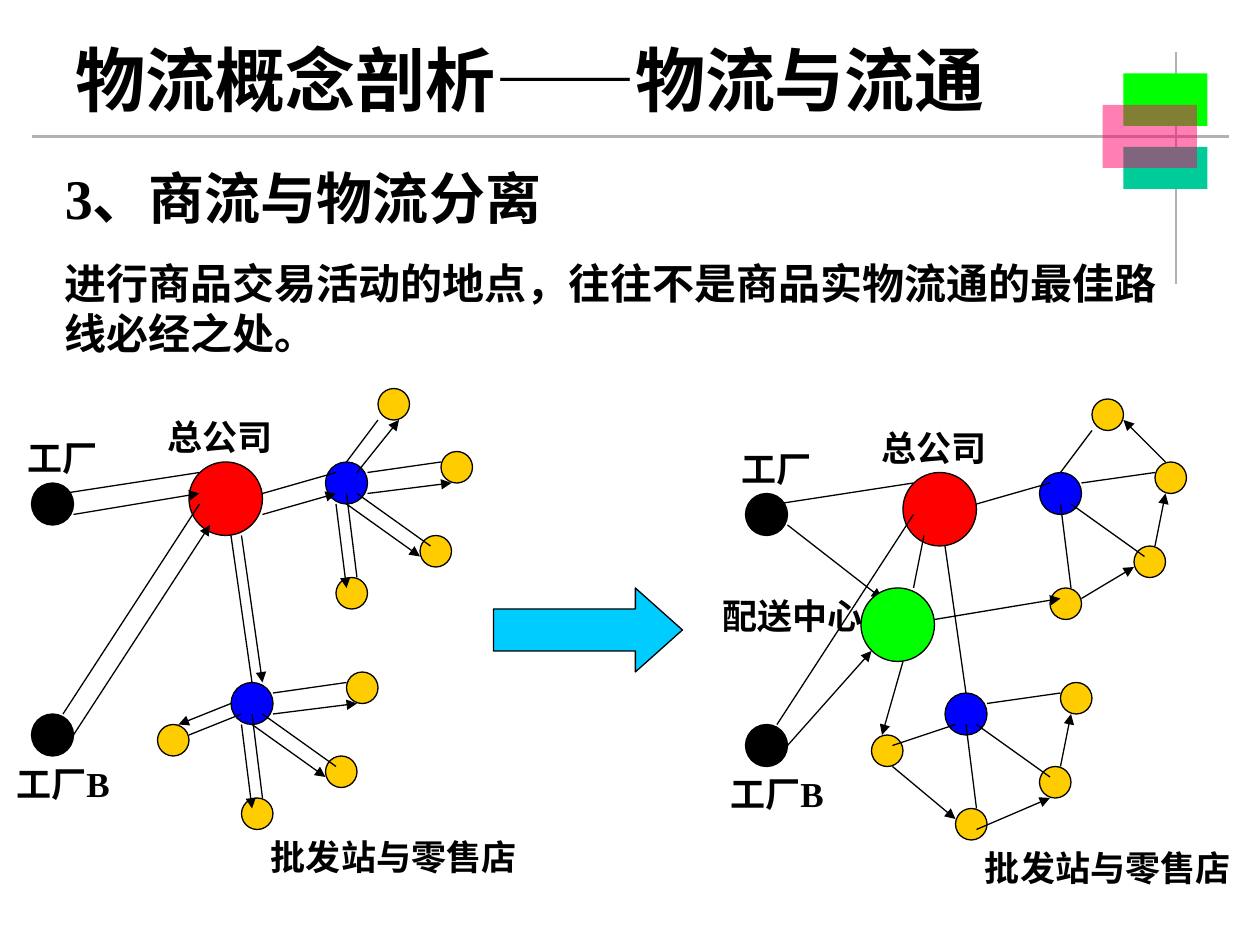
from lxml import etree
from pptx import Presentation
from pptx import util as u
from pptx.dml.color import RGBColor
from pptx.enum import shapes, text
from pptx.oxml.ns import qn

UNIT = 6  # points per grid step; every position below is in grid steps
FONT = "Times New Roman"
C = {"black": "000000", "grey": "B2B2B2", "green": "00FF00", "teal": "00CC99",
     "pink": "FF0066", "red": "FF0000", "blue": "0000FF", "gold": "FFCC00",
     "cyan": "00CCFF"}

TITLE = "物流概念剖析——物流与流通"
BODY = [("3、商流与物流分离", 32, 0),
        ("进行商品交易活动的地点，往往不是商品实物流通的最佳路线必经之处。", 24, 15)]

RULES = [((3, 13), (117, 13), 2.25), ((112, 5), (112, 27), 0.75)]
BLOCKS = [(107, 7, 8, 5, "green"), (107, 14, 8, 4, "teal"), (105, 10, 9, 6, "pink")]

# colour, diameter, top-left corners
NODES = [
    ("red", 7, [(18, 44)]),
    ("black", 4, [(3, 46), (3, 68)]),
    ("blue", 4, [(31, 44), (22, 65)]),
    ("gold", 3, [(32, 55), (40, 51), (42, 43), (36, 37),
                 (23, 76), (31, 72), (33, 64), (15, 69)]),
]
# words, left, top, width, height
LABELS = [("工厂", 0, 41, 12, 5.3), ("工厂B", 0, 72, 12, 9.2),
          ("总公司", 14, 39, 14, 5.3), ("批发站与零售店", 23, 79, 29, 5.3)]
TRADE = [
    ((6, 47), (19, 45)), ((6, 68), (19, 48)), ((25, 47), (32, 45)),
    ((35, 45), (42, 44)), ((33, 44), (36, 40)), ((34, 47), (41, 52)),
    ((33, 47), (34, 55)), ((26, 66), (33, 65)), ((25, 68), (32, 73)),
    ((24, 68), (25, 76)), ((24, 65), (22, 51)),
]
DIAGRAMS = [
    {"origin": (0, 0),
     "trade": [((18, 70), (23, 68))],
     "goods": [
         ((7, 70), (20, 50)), ((7, 49), (19, 47)), ((25, 49), (32, 47)),
         ((35, 47), (43, 46)), ((34, 45), (38, 40)), ((33, 48), (40, 53)),
         ((32, 48), (33, 56)), ((26, 68), (34, 67)), ((22, 67), (17, 69)),
         ((24, 69), (31, 74)), ((23, 69), (24, 77)), ((23, 51), (25, 65))],
     "centres": [], "centre_labels": []},
    {"origin": (68, 1),
     "trade": [((17, 70), (23, 68)), ((19, 55), (20, 50))],
     "goods": [
         ((7, 70), (15, 61)), ((7, 49), (16, 56)), ((21, 58), (33, 56)),
         ((42, 51), (43, 46)), ((43, 43), (39, 39)), ((35, 56), (40, 53)),
         ((33, 72), (34, 67)), ((17, 72), (23, 77)), ((25, 78), (32, 75)),
         ((18, 62), (16, 69))],
     "centres": [(14, 55)],
     "centre_labels": [("配送中心", -1, 55, 17, 5.3)]},
]
ARROW = (47, 56, 18, 8)


def grid(*steps):
    return [u.Pt(n * UNIT) for n in steps]


def rgb(name):
    return RGBColor.from_string(C[name])


def add_run(p, words, size):
    r = p.add_run()
    r.text = words
    r.font.name, r.font.size, r.font.bold = FONT, u.Pt(size), True
    r.font.color.rgb = rgb("black")


def add_shape(parent, kind, box, color, outlined=True):
    sp = parent.add_shape(kind, *grid(*box))
    sp.shadow.inherit = False
    sp.fill.solid()
    sp.fill.fore_color.rgb = rgb(color)
    if outlined:
        sp.line.color.rgb, sp.line.width = rgb("black"), u.Pt(0.75)
    else:
        sp.line.fill.background()
    return sp


def add_line(parent, start, end, color="black", width=0.75, arrow=False):
    cx = parent.add_connector(shapes.MSO_CONNECTOR.STRAIGHT, *grid(*start, *end))
    cx.line.color.rgb, cx.line.width = rgb(color), u.Pt(width)
    if arrow:
        etree.SubElement(cx.line._get_or_add_ln(), qn("a:tailEnd"), type="triangle")
    etree.SubElement(cx._element.spPr, qn("a:effectLst"))


def add_label(parent, words, *box):
    tf = parent.add_textbox(*grid(*box)).text_frame
    tf.word_wrap = True
    tf.paragraphs[0].alignment = text.PP_ALIGN.CENTER
    add_run(tf.paragraphs[0], words, 20)


def add_diagram(s, origin, trade, goods, centres, centre_labels):
    """Draw one network; its own parts add to the nodes and links both share."""
    dx, dy = origin
    group = s.shapes.add_group_shape().shapes

    def move(point):
        return point[0] + dx, point[1] + dy

    def add_nodes(color, size, corners):
        for corner in corners:
            add_shape(group, shapes.MSO_SHAPE.OVAL, (*move(corner), size, size), color)

    def add_labels(labels):
        for words, x, y, w, h in labels:
            add_label(group, words, *move((x, y)), w, h)

    for node in NODES:
        add_nodes(*node)
    add_labels(LABELS)
    for links, arrow in ((TRADE + trade, False), (goods, True)):
        for start, end in links:
            add_line(group, move(start), move(end), arrow=arrow)
    add_nodes("green", 7, centres)
    add_labels(centre_labels)


def main():
    prs = Presentation()
    prs.slide_width, prs.slide_height = u.Pt(720), u.Pt(540)
    s = prs.slides.add_slide(prs.slide_layouts[5])

    for start, end, width in RULES:
        add_line(s.shapes, start, end, "grey", width)
    for *box, color in BLOCKS:
        sp = add_shape(s.shapes, shapes.MSO_SHAPE.RECTANGLE, box, color, outlined=False)
        if color == "pink":
            clr = sp.fill._xPr.find(qn("a:solidFill"))[0]
            etree.SubElement(clr, qn("a:alpha"), val="50000")

    title = s.shapes.title
    title.left, title.top, title.width, title.height = grid(4, 3, 93, 9)
    tf = title.text_frame
    tf.auto_size = text.MSO_AUTO_SIZE.NONE
    tf.vertical_anchor = text.MSO_ANCHOR.MIDDLE
    tf.paragraphs[0].alignment = text.PP_ALIGN.CENTER
    add_run(tf.paragraphs[0], TITLE, 40)

    tf = s.shapes.add_textbox(*grid(5, 15, 110, 19.7)).text_frame
    tf.word_wrap = True
    for i, (words, size, before) in enumerate(BODY):
        p = tf.add_paragraph() if i else tf.paragraphs[0]
        p.space_before = u.Pt(before)
        add_run(p, words, size)

    for diagram in DIAGRAMS:
        add_diagram(s, **diagram)
    arrow = add_shape(s.shapes, shapes.MSO_SHAPE.RIGHT_ARROW, ARROW, "cyan")
    arrow.adjustments[0], arrow.adjustments[1] = 0.5, 0.56

    prs.save("out.pptx")


if __name__ == "__main__":
    main()
